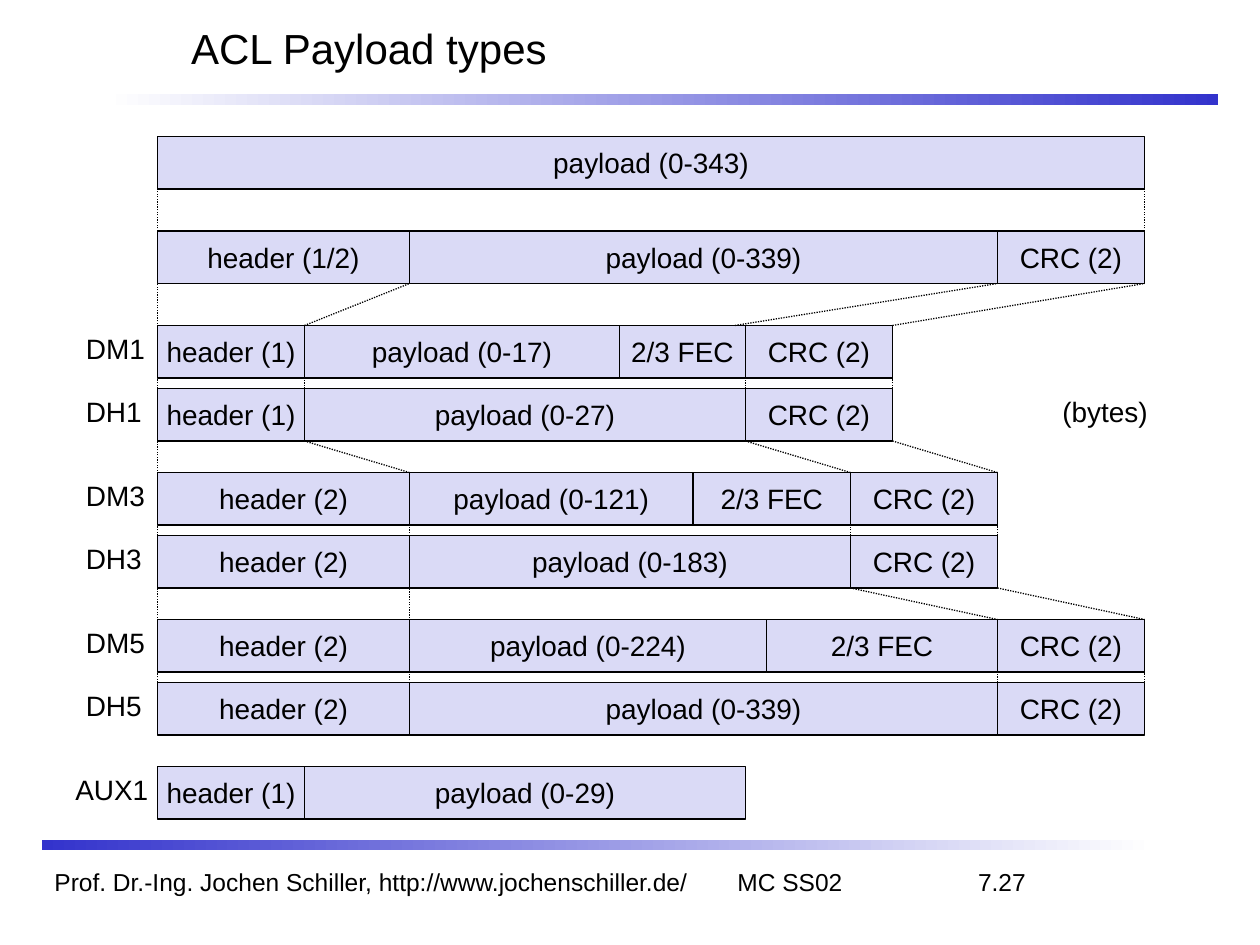
from lxml.etree import SubElement
from pptx import Presentation
from pptx.dml.color import RGBColor
from pptx.enum.dml import MSO_LINE_DASH_STYLE as Dash
from pptx.enum.shapes import MSO_CONNECTOR as Conn, MSO_SHAPE as Shape
from pptx.enum.text import MSO_ANCHOR as Anchor, MSO_AUTO_SIZE as Auto, PP_ALIGN as Align
from pptx.oxml.ns import qn
from pptx.util import Inches, Pt

BLACK, BLUE, WHITE, LILAC = "000000", "3333CC", "FFFFFF", "DADAF6"
LEFT, ROW_H, CRC = 15, 5, ("CRC (2)", 14)
TITLE = "ACL Payload types"
FOOTER = "Prof. Dr.-Ing. Jochen Schiller, http://www.jochenschiller.de/\tMC SS02\t7.27"
FOOTER_TABS = [(5.42, "l"), (7.71, "r")]
BARS = [(10, 9, WHITE, BLUE), (4, 80, BLUE, WHITE)]
# Each row: top, then (text, width) cells laid side by side
ROWS = [
    (13, [("payload (0-343)", 94)]),
    (22, [("header (1/2)", 24), ("payload (0-339)", 56), CRC]),
    (31, [("header (1)", 14), ("payload (0-17)", 30), ("2/3 FEC", 12), CRC]),
    (37, [("header (1)", 14), ("payload (0-27)", 42), CRC]),
    (45, [("header (2)", 24), ("payload (0-121)", 27), ("2/3 FEC", 15), CRC]),
    (51, [("header (2)", 24), ("payload (0-183)", 42), CRC]),
    (59, [("header (2)", 24), ("payload (0-224)", 34), ("2/3 FEC", 22), CRC]),
    (65, [("header (2)", 24), ("payload (0-339)", 56), CRC]),
    (73, [("header (1)", 14), ("payload (0-29)", 42)]),
]
LABELS = [
    ("DM1", 7, 31, 8), ("DH1", 7, 37, 7.7), ("DM3", 7, 45, 8), ("DH3", 7, 51, 7.7),
    ("DM5", 7, 59, 8), ("DH5", 7, 65, 7.7), ("AUX1", 6, 73, 9.4), ("(bytes)", 100, 37, 10.5),
]
GUIDES = [
    (15, 22, 15, 18), (109, 22, 109, 18), (15, 65, 15, 27),
    (29, 31, 39, 27), (70, 31, 95, 27), (85, 31, 109, 27),
    (29, 38, 29, 34), (71, 38, 71, 34), (85, 37, 85, 36),
    (39, 45, 29, 42), (71, 42, 81, 45), (85, 42, 95, 45),
    (39, 67, 39, 50), (81, 52, 81, 48), (95, 51, 95, 50),
    (81, 56, 95, 59), (95, 56, 109, 59), (95, 66, 95, 62), (109, 65, 109, 64),
]


def rgb(value):
    """Return the colour for a hex string."""
    return RGBColor.from_string(value)


def grid(*units):
    """Convert grid units of a twelfth of an inch to lengths."""
    return [Inches(u / 12) for u in units]


def write(s, text, size=16, align=Align.LEFT, anchor=Anchor.TOP, wrap=False, auto=Auto.NONE, tabs=()):
    """Write one formatted paragraph into a shape."""
    tf = s.text_frame
    tf.word_wrap, tf.auto_size, tf.vertical_anchor = wrap, auto, anchor
    p = tf.paragraphs[0]
    p.alignment = align
    if tabs:
        tab_list = SubElement(p._p.get_or_add_pPr(), qn("a:tabLst"))
        for pos, side in tabs:
            SubElement(tab_list, qn("a:tab"), pos=str(Inches(pos)), algn=side)
    r = p.add_run()
    r.text = text
    r.font.name, r.font.size, r.font.color.rgb = "Arial", Pt(size), rgb(BLACK)


def add_box(shapes, *units):
    """Add a rectangle without shadow."""
    s = shapes.add_shape(Shape.RECTANGLE, *grid(*units))
    s.shadow.inherit = False
    return s


def add_bar(shapes, x, y, start, end):
    """Add a horizontal gradient bar."""
    s = add_box(shapes, x, y, 106, 1)
    s.line.fill.background()
    s.fill.gradient()
    s.fill.gradient_angle = 0
    for stop, colour in zip(s.fill.gradient_stops, (start, end)):
        stop.color.rgb = rgb(colour)


def add_cell(shapes, text, x, y, width):
    """Add one field of a packet row."""
    s = add_box(shapes, x, y, width, ROW_H)
    s.fill.solid()
    s.fill.fore_color.rgb = rgb(LILAC)
    s.line.color.rgb, s.line.width = rgb(BLACK), Pt(0.75)
    write(s, text, align=Align.CENTER, anchor=Anchor.MIDDLE)


def add_guide(shapes, *ends):
    """Add a dotted line between two grid points."""
    c = shapes.add_connector(Conn.STRAIGHT, *grid(*ends))
    c.line.color.rgb, c.line.width = rgb(BLACK), Pt(0.75)
    c.line.dash_style = Dash.ROUND_DOT
    SubElement(c._element.spPr, qn("a:effectLst"))


def main():
    """Build the slide and save it."""
    prs = Presentation()
    prs.slide_width, prs.slide_height = Inches(10), Inches(7.5)
    shapes = prs.slides.add_slide(prs.slide_layouts[5]).shapes
    title = shapes.title
    title.left, title.top, title.width, title.height = grid(17, 0, 101, 9)
    write(title, TITLE, size=24, anchor=Anchor.MIDDLE, wrap=True)
    for bar in BARS:
        add_bar(shapes, *bar)
    footer = shapes.add_textbox(*grid(4, 82, 105, 4))
    write(footer, FOOTER, size=14, wrap=True, tabs=FOOTER_TABS)
    for y, cells in ROWS:
        x = LEFT
        for text, width in cells:
            add_cell(shapes, text, x, y, width)
            x += width
    for text, x, y, width in LABELS:
        write(shapes.add_textbox(*grid(x, y, width, 4.4)), text, auto=Auto.SHAPE_TO_FIT_TEXT)
    for ends in GUIDES:
        add_guide(shapes, *ends)
    prs.save("out.pptx")


if __name__ == "__main__":
    main()
